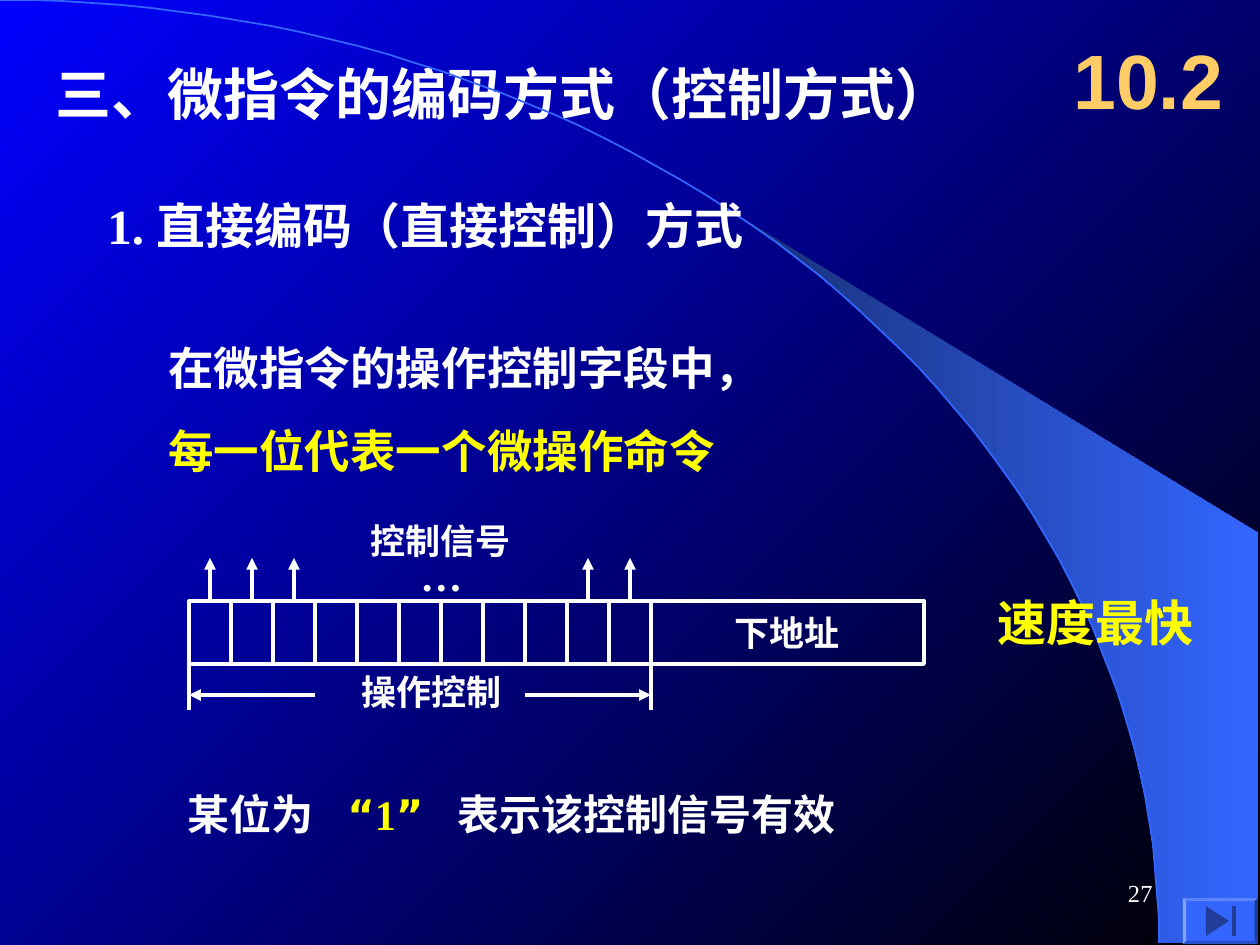
import math

from lxml import etree
from pptx import Presentation
from pptx import util as u
from pptx.dml.color import RGBColor
from pptx.enum import lang, shapes, text
from pptx.oxml.ns import qn

PX = 914400 / 126
WHITE, YELLOW, ORANGE, BLUE, NAVY = "FFFFFF", "FFFF00", "FFCC66", "3366FF", "1F3D99"
SANS, SERIF = "DejaVu Sans", "Times New Roman"
ARC_WIDTH, ARC_HEIGHT = 1159, 943
BIT_LEFT, BIT_TOP, BIT_WIDTH, BIT_HEIGHT, BIT_COUNT = 189, 601, 42, 63, 11


def px(length):
    """Turn px into EMU."""
    return u.Emu(round(length * PX))


def colour(hex_value):
    """Turn a hex string into a colour."""
    return RGBColor.from_string(hex_value)


def shade(fill, start, end, angle):
    """Give a fill a linear two-colour gradient."""
    fill.gradient()
    fill.gradient_angle = angle
    for stop, value in zip(fill.gradient_stops, (start, end)):
        stop.color.rgb = colour(value)


def paint(shape, fill=None, line=None, weight=2.25):
    """Set the fill and outline of a shape and drop its shadow."""
    shape.shadow.inherit = False
    if fill:
        shape.fill.solid()
        shape.fill.fore_color.rgb = colour(fill)
    else:
        shape.fill.background()
    if line:
        shape.line.color.rgb = colour(line)
        shape.line.width = u.Pt(weight)
    else:
        shape.line.fill.background()


def write(shape, lines, size, font=SANS, bold=True, wrap=False,
          align=text.PP_ALIGN.LEFT, anchor=text.MSO_ANCHOR.TOP, gap=0, space_width=0):
    """Fill a shape with lines of (wording, colour[, font]) parts, widening lone spaces."""
    frame = shape.text_frame
    frame.auto_size = text.MSO_AUTO_SIZE.NONE
    frame.word_wrap = wrap
    frame.vertical_anchor = anchor
    for index, parts in enumerate(lines):
        paragraph = frame.add_paragraph() if index else frame.paragraphs[0]
        paragraph.alignment = align
        paragraph.space_before = u.Pt(gap if index else 0)
        for wording, ink, *own_font in parts:
            run = paragraph.add_run()
            run.text = wording
            run.font.name = own_font[0] if own_font else font
            run.font.size = u.Pt(size)
            run.font.bold = bold
            run.font.color.rgb = colour(ink)
            run.font.language_id = lang.MSO_LANGUAGE_ID.SIMPLIFIED_CHINESE
            etree.SubElement(run.font._element, qn("a:ea"), typeface=SANS)
            if wording == " ":
                run.font._element.set("spc", str(space_width * 100))


def label(slide, box, lines, size, **style):
    """Add a text box."""
    write(slide.shapes.add_textbox(*map(px, box)), lines, size, **style)


def block(slide, preset, box, **look):
    """Add a preset shape."""
    shape = slide.shapes.add_shape(preset, *map(px, box))
    paint(shape, **look)
    return shape


def outline(slide, points, closed=True, **look):
    """Add a freeform through the points."""
    builder = slide.shapes.build_freeform(*points[0], scale=PX)
    builder.add_line_segments(points[1:], close=closed)
    shape = builder.convert_to_shape()
    paint(shape, **look)
    return shape


def rule(slide, start, end, arrow=False):
    """Add a white line, with an arrowhead at its end if asked."""
    line = slide.shapes.add_connector(shapes.MSO_CONNECTOR.STRAIGHT, *map(px, start + end))
    line.line.color.rgb = colour(WHITE)
    line.line.width = u.Pt(2.25)
    if arrow:
        etree.SubElement(line.line._get_or_add_ln(), qn("a:tailEnd"), type="triangle")
    etree.SubElement(line._element.spPr, qn("a:effectLst"))


def arc(start, steps=60):
    """List points on the quarter ellipse from a start angle down to its foot."""
    angles = [start + (math.pi / 2 - start) * step / steps for step in range(steps + 1)]
    return [(round(ARC_WIDTH * math.sin(a), 2), round(ARC_HEIGHT * (1 - math.cos(a)), 2))
            for a in angles]


def backdrop(slide):
    """Draw the gradient, the sweeping band and its arc."""
    shade(slide.background.fill, "0000FF", "000000", 315)
    band = outline(slide, arc(math.asin(0.64)) + [(1258, 943), (1258, 533)])
    shade(band.fill, "182F76", BLUE, 0)
    outline(slide, arc(0), closed=False, line=BLUE, weight=1)


def instruction_format(slide):
    """Draw the control bits, the next-address field and their marks."""
    rectangle = shapes.MSO_SHAPE.RECTANGLE
    field_end = BIT_LEFT + BIT_COUNT * BIT_WIDTH
    bottom = BIT_TOP + BIT_HEIGHT
    for bit in range(BIT_COUNT):
        left = BIT_LEFT + bit * BIT_WIDTH
        block(slide, rectangle, (left, BIT_TOP, BIT_WIDTH, BIT_HEIGHT), line=WHITE)
    address = block(slide, rectangle, (field_end, BIT_TOP, 273, BIT_HEIGHT), line=WHITE)
    write(address, [[("下地址", WHITE)]], 20, font=SERIF,
          align=text.PP_ALIGN.CENTER, anchor=text.MSO_ANCHOR.MIDDLE)
    for bit in (0, 1, 2, 9, 10):
        middle = BIT_LEFT + bit * BIT_WIDTH + BIT_WIDTH // 2
        rule(slide, (middle, BIT_TOP), (middle, 558), arrow=True)
    for edge, inner in ((BIT_LEFT, 315), (field_end, 525)):
        rule(slide, (edge, bottom), (edge, 710))
        rule(slide, (inner, 695), (edge, 695), arrow=True)
    label(slide, (408, 543, 67, 63), [[("…", WHITE)]], 24, font=SERIF)
    label(slide, (358, 513, 165, 55), [[("控制信号", WHITE)]], 20, font=SERIF)
    label(slide, (349, 664, 165, 55), [[("操作控制", WHITE)]], 20, font=SERIF)


def end_button(slide):
    """Draw the bevelled button that jumps to the end."""
    face = block(slide, shapes.MSO_SHAPE.BEVEL, (1183, 898, 75, 46), fill=BLUE)
    face.adjustments[0] = 0.07
    outline(slide, [(1206, 906), (1229, 921), (1206, 936)], fill=NAVY)
    block(slide, shapes.MSO_SHAPE.RECTANGLE, (1232, 906, 4, 30), fill=NAVY)


def main():
    """Build the slide and save it."""
    deck = Presentation()
    deck.slide_width, deck.slide_height = px(1260), px(945)
    slide = deck.slides.add_slide(deck.slide_layouts[5])
    backdrop(slide)

    title = slide.shapes.title
    title.left, title.top, title.width, title.height = map(px, (43, 53, 1000, 81))
    write(title, [[("三、微指令的编码方式（控制方式）", WHITE)]], 32, wrap=True)
    label(slide, (95, 189, 973, 72),
          [[("1. ", WHITE, SERIF), ("直接编码（直接控制）方式", WHITE)]], 28, wrap=True)
    label(slide, (156, 334, 950, 150),
          [[("在微指令的操作控制字段中，", WHITE)], [("每一位代表一个微操作命令", YELLOW)]],
          26, wrap=True, gap=16.2)
    label(slide, (985, 586, 221, 72), [[("速度最快", YELLOW)]], 28)
    instruction_format(slide)
    label(slide, (175, 782, 760, 63),
          [[("某位为", WHITE), (" ", WHITE), ("“1”", YELLOW), (" ", WHITE),
            ("表示该控制信号有效", WHITE)]],
          24, font=SERIF, wrap=True, space_width=11)
    label(slide, (1061, 21, 199, 116), [[("10.2", ORANGE)]], 44, font="Arial",
          wrap=True, anchor=text.MSO_ANCHOR.MIDDLE)
    end_button(slide)
    label(slide, (903, 861, 262, 63), [[("27", WHITE)]], 14, font=SERIF, bold=False,
          wrap=True, align=text.PP_ALIGN.RIGHT, anchor=text.MSO_ANCHOR.MIDDLE)
    deck.save("out.pptx")


if __name__ == "__main__":
    main()
